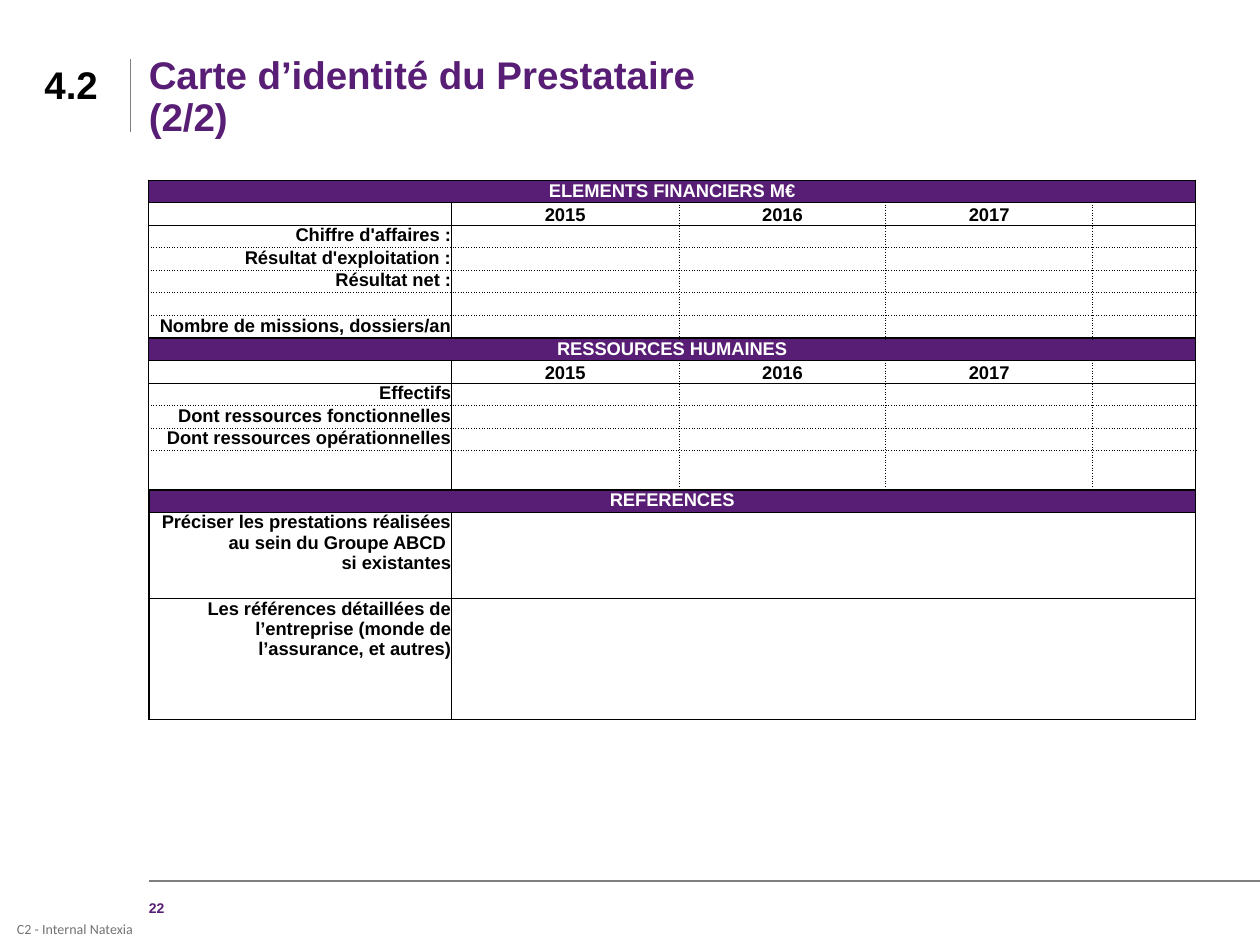
from lxml.etree import SubElement
from pptx import Presentation
from pptx.dml.color import RGBColor as RGB
from pptx.enum.shapes import MSO_CONNECTOR as Link
from pptx.enum.text import MSO_ANCHOR as Anchor, PP_ALIGN as Align
from pptx.oxml.ns import qn
from pptx.util import Pt

HUE = {"plum": "581D74", "black": "000000", "white": "FFFFFF",
       "rule": "7F7F7F", "grey": "737373"}


def write(frame, text, size, hue, bold=True, align=Align.LEFT, face="Arial"):
    frame.text = text
    for para in frame.paragraphs:
        para.alignment = align
        for font in [para.font] + [run.font for run in para.runs]:
            font.name, font.size, font.bold = face, Pt(size), bold
            font.color.rgb = RGB.from_string(HUE[hue])


def border(cell, side, width, dash):
    """Draw one side (L, R, T or B) of a table cell."""
    line = SubElement(cell._tc.get_or_add_tcPr(), qn("a:ln" + side),
                      w=str(Pt(width)))
    fill = SubElement(line, qn("a:solidFill"))
    SubElement(fill, qn("a:srgbClr"), val=HUE["black"])
    SubElement(line, qn("a:prstDash"), val=dash)


deck = Presentation()
deck.slide_width, deck.slide_height = Pt(720), Pt(540)
slide = deck.slides.add_slide(deck.slide_layouts[6])
shapes = slide.shapes

# Rules beside the title and above the page number
for x1, y1, x2, y2 in [(74.6, 34, 74.6, 75.4), (85, 503.4, 720, 503.4)]:
    rule = shapes.add_connector(Link.STRAIGHT, Pt(x1), Pt(y1), Pt(x2), Pt(y2))
    rule.line.color.rgb = RGB.from_string(HUE["rule"])
    rule.line.width = Pt(0.75)
    SubElement(rule._element.spPr, qn("a:effectLst"))

# Title, section number, page number and footer
labels = [
    ("Carte d’identité du Prestataire\v(2/2)", 85, 32.4, 612.7, 48.2,
     22, "plum", True, Align.LEFT, "Arial"),
    ("4.2", 17.3, 34.6, 46.8, 26.6, 22, "black", True, Align.CENTER, "Arial"),
    ("22", 85, 514, 15, 9.4, 8, "plum", True, Align.LEFT, "Arial"),
    ("C2 - Internal Natexia", 9.7, 522, 73.8, 18,
     8, "grey", False, Align.LEFT, "Calibri"),
]
for text, x, y, w, h, *look in labels:
    frame = shapes.add_textbox(Pt(x), Pt(y), Pt(w), Pt(h)).text_frame
    frame.margin_left = frame.margin_right = 0
    frame.margin_top = frame.margin_bottom = 0
    frame.word_wrap = True
    write(frame, text, *look)
    if look[1] == "grey":
        frame.vertical_anchor = Anchor.MIDDLE
    if text.startswith("Carte"):
        frame.paragraphs[0].line_spacing = 0.9

# Supplier table
YEARS = ["", "2015", "2016", "2017", ""]
rows = [
    ["ELEMENTS FINANCIERS M€"], YEARS,
    ["Chiffre d'affaires :"], ["Résultat d'exploitation :"],
    ["Résultat net :"], [""], ["Nombre de missions, dossiers/an"],
    ["RESSOURCES HUMAINES"], YEARS,
    ["Effectifs"], ["Dont ressources fonctionnelles"],
    ["Dont ressources opérationnelles"], [""],
    ["REFERENCES"],
    ["Préciser les prestations réalisées au sein du Groupe ABCD \nsi existantes"],
    ["Les références détaillées de l’entreprise "
     "(monde de l’assurance, et autres)"],
]
widths = [172.8, 130.3, 118.1, 118.1, 59]
tall = {12: 22.2, 14: 49.3, 15: 69.1}
heights = [tall.get(r, 12.9) for r in range(len(rows))]
bands = {0, 7, 13}
dotted = {3, 4, 5, 6, 10, 11, 12}  # horizontal lines, counted from the top
last = len(widths)
refs = 13  # first row of the references, with heavier lines

table = shapes.add_table(len(rows), last, Pt(85), Pt(102.9),
                         Pt(sum(widths)), Pt(sum(heights))).table
table.first_row = table.horz_banding = False
for col, width in zip(table.columns, widths):
    col.width = Pt(width)
for row, height in zip(table.rows, heights):
    row.height = Pt(height)

for r, texts in enumerate(rows):
    band = r in bands
    start = 0 if band else 1 if r > refs else last  # first merged column
    if start < last:
        table.cell(r, start).merge(table.cell(r, last - 1))
    for c in range(last):
        cell = table.cell(r, c)
        cell.margin_left = cell.margin_right = 0
        cell.margin_top = cell.margin_bottom = 0
        end = last if c == start else c + 1
        for side, x in (("L", c), ("R", end)):
            if start < x < last:
                continue
            solid = x in (0, 1, last)
            heavy = r >= refs and x in (0, last)
            border(cell, side, 1 if heavy else 0.75,
                   "solid" if solid else "sysDot")
        for side, y in (("T", r), ("B", r + 1)):
            border(cell, side, 1 if y >= refs else 0.75,
                   "sysDot" if y in dotted else "solid")
        cell.fill.solid()
        cell.fill.fore_color.rgb = RGB.from_string(
            HUE["plum" if band else "white"])
        if c > start:
            continue
        text = texts[c] if c < len(texts) else ""
        write(cell.text_frame, text, 10.5, "white" if band else "black",
              align=Align.CENTER if band or c else Align.RIGHT)
        if band and r != refs:
            cell.vertical_anchor = Anchor.MIDDLE
        elif texts is YEARS:
            cell.vertical_anchor = Anchor.BOTTOM

deck.save("out.pptx")
